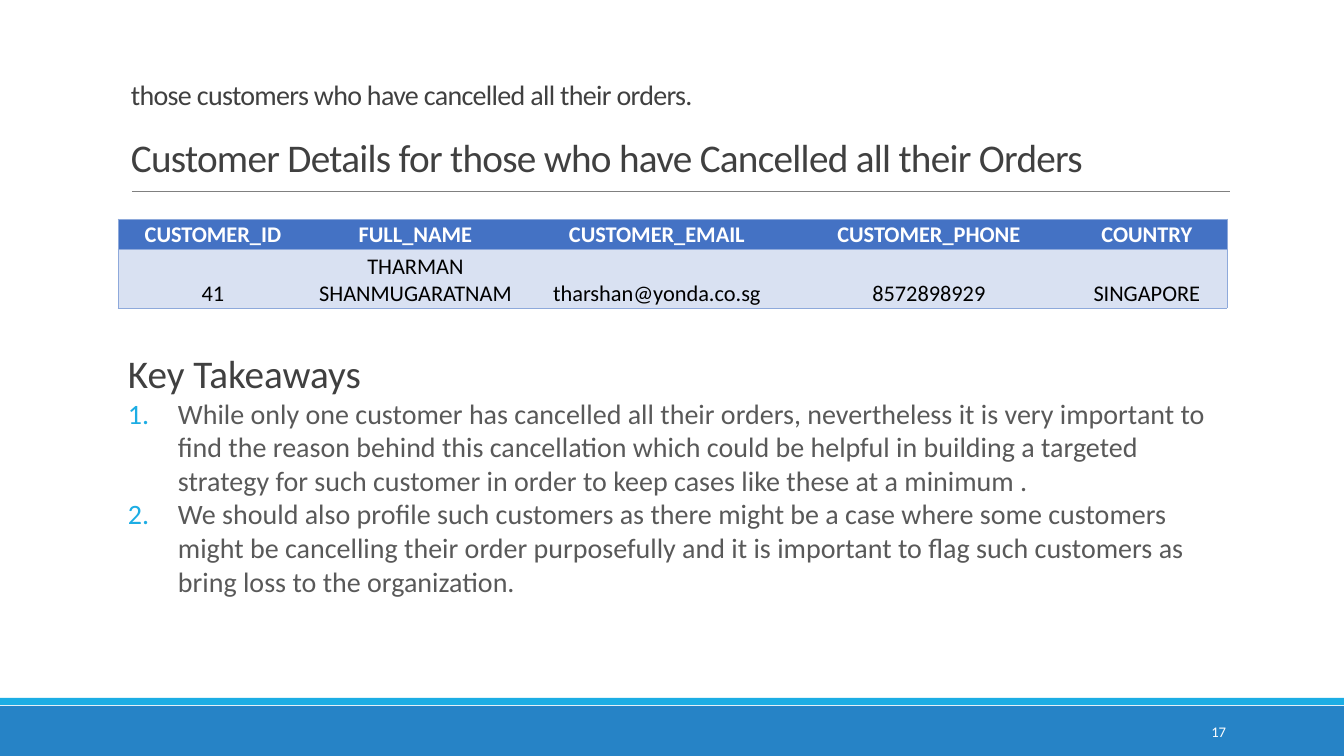
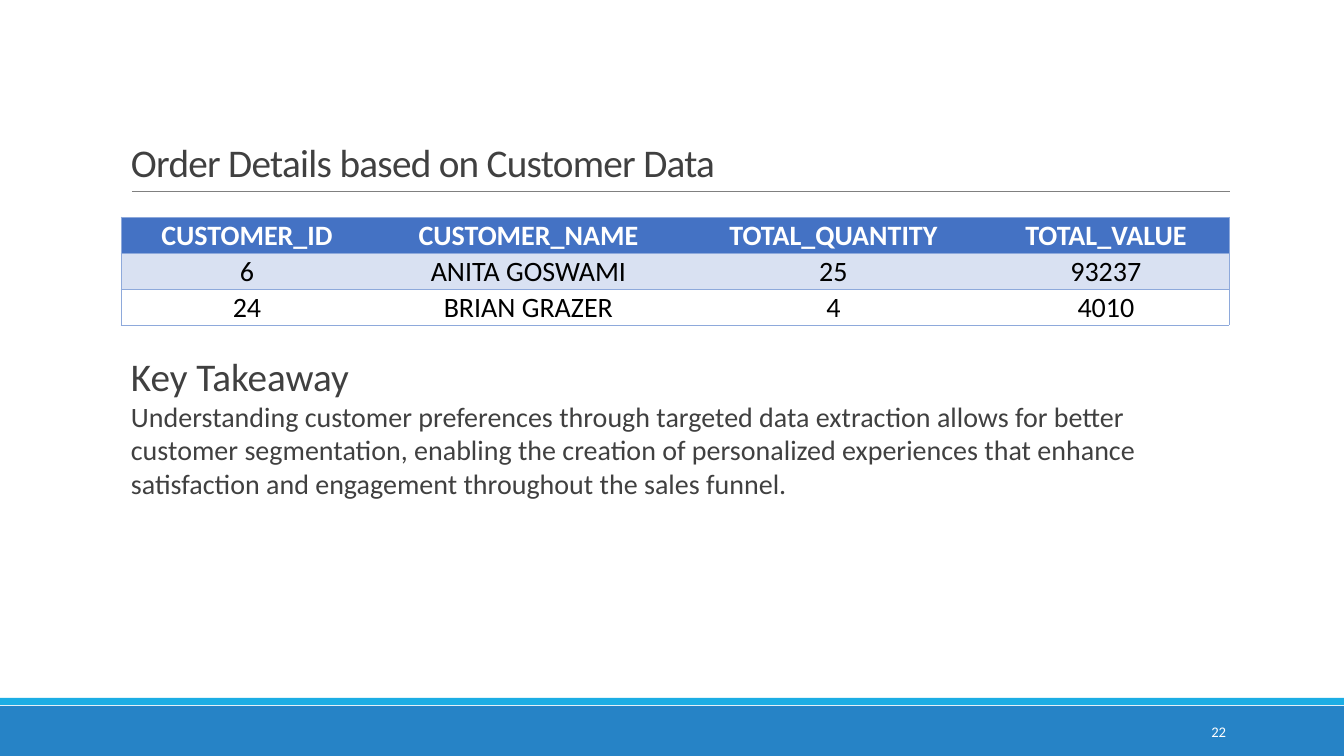
from dataclasses import dataclass

from lxml.etree import SubElement as Sub
from pptx import Presentation
from pptx.dml.color import RGBColor as Rgb
from pptx.enum.shapes import MSO_CONNECTOR as Conn, MSO_SHAPE as Shape
from pptx.enum.text import MSO_ANCHOR as Anchor, PP_ALIGN as Align
from pptx.oxml.ns import qn
from pptx.util import Emu, Pt


# Shared look
@dataclass(frozen=True)
class Theme:
    font: str = "Calibri"
    band: str = "2683C6"
    strip: str = "1CADE4"
    rule: str = "808080"
    ink: str = "404040"
    soft: str = "595959"
    white: str = "FFFFFF"
    black: str = "000000"
    head: str = "4472C4"
    tint: str = "D9E1F2"
    edge: str = "8EA9DB"
    big: float = 28
    body: float = 20
    small: float = 16
    foot: float = 10.5


T = Theme()
WIDE, HIGH = 1344, 756
UNIT = 12192000 / WIDE
PLAIN = "{2D5ABB26-0587-4C30-8999-92F81FD0307C}"


def px(n):
    return Emu(round(n * UNIT))


def box(*nums):
    return [px(n) for n in nums]


# Text
def add_run(para, text, size, color, bold=False):
    run = para.add_run()
    run.text = text
    font = run.font
    font.name, font.size, font.bold = T.font, Pt(size), bold
    font.color.rgb = Rgb.from_string(color)
    return run


def add_frame(slide, area, anchor=Anchor.TOP):
    frame = slide.shapes.add_textbox(*box(*area)).text_frame
    frame.word_wrap = True
    frame.vertical_anchor = anchor
    return frame


def next_para(frame, first):
    return frame.paragraphs[0] if first else frame.add_paragraph()


def number(para):
    props = para._p.get_or_add_pPr()
    props.set("marL", str(px(50)))
    props.set("indent", str(-px(50)))
    Sub(Sub(props, qn("a:buClr")), qn("a:srgbClr"), val=T.strip)
    Sub(props, qn("a:buAutoNum"), type="arabicPeriod")


# Parts of every slide
def add_band(slide, top, high, color):
    band = slide.shapes.add_shape(Shape.RECTANGLE, *box(0, top, WIDE, high))
    band.shadow.inherit = False
    band.fill.solid()
    band.fill.fore_color.rgb = Rgb.from_string(color)
    band.line.fill.background()


def add_rule(slide):
    rule = slide.shapes.add_connector(Conn.STRAIGHT, *box(132, 191, 1230, 191))
    rule.line.color.rgb = Rgb.from_string(T.rule)
    rule.line.width = Pt(0.5)
    Sub(rule._element.spPr, qn("a:effectLst"))


def add_title(slide, high, lines):
    frame = add_frame(slide, (121, 31, 1109, high), Anchor.BOTTOM)
    for i, (text, size) in enumerate(lines):
        para = next_para(frame, i == 0)
        para.line_spacing = 0.85
        if i:
            para.space_before = Pt(21)
        run = add_run(para, text, size, T.ink)
        run.font._element.set("spc", "-50")


def add_page(deck, num, high, lines):
    slide = deck.slides.add_slide(deck.slide_layouts[6])
    add_band(slide, 706, 50, T.band)
    add_band(slide, 698, 7, T.strip)
    add_rule(slide)
    add_title(slide, high, lines)
    para = add_frame(slide, (1092, 712, 144, 40), Anchor.MIDDLE).paragraphs[0]
    para.alignment = Align.RIGHT
    add_run(para, num, T.foot, T.white)
    return slide


# Table
def add_edge(cell, side):
    # Borders come before the fill in the cell properties
    line = Sub(cell._tc.get_or_add_tcPr(), qn("a:ln" + side), w=str(Pt(0.5)))
    Sub(Sub(line, qn("a:solidFill")), qn("a:srgbClr"), val=T.edge)


def style_cell(cell, text, size, row, sides):
    cell.margin_left = cell.margin_right = cell.margin_top = px(1)
    cell.margin_bottom = 0
    cell.vertical_anchor = Anchor.BOTTOM
    for side in sides:
        add_edge(cell, side)
    if row < 2:
        cell.fill.solid()
        cell.fill.fore_color.rgb = Rgb.from_string(T.tint if row else T.head)
    else:
        cell.fill.background()
    para = cell.text_frame.paragraphs[0]
    para.alignment = Align.CENTER
    add_run(para, text, size, T.black if row else T.white, row == 0)


def add_grid(slide, left, top, cols, rows, size, data):
    area = box(left, top, sum(cols), sum(rows))
    grid = slide.shapes.add_table(len(rows), len(cols), *area).table
    grid._tbl.tblPr.find(qn("a:tableStyleId")).text = PLAIN
    grid.horz_banding = False
    for col, wide in zip(grid.columns, cols):
        col.width = px(wide)
    for row, high in zip(grid.rows, rows):
        row.height = px(high)
    last = len(cols) - 1
    for r, line in enumerate(data):
        for c, text in enumerate(line):
            sides = ["L"] * (c == 0) + ["R"] * (c == last) + ["T", "B"]
            style_cell(grid.cell(r, c), text, size, r, sides)


# Takeaways
def add_notes(slide, area, head, items, color, listed=False):
    frame = add_frame(slide, area)
    add_run(frame.paragraphs[0], head, T.big, T.ink)
    for text in items:
        para = next_para(frame, False)
        if listed:
            number(para)
        add_run(para, text, T.body, color)


def main():
    deck = Presentation()
    deck.slide_width, deck.slide_height = box(WIDE, HIGH)

    # Cancelled orders
    slide = add_page(deck, "17", 155, [
        ("those customers who have cancelled all their orders.", T.body),
        ("Customer Details for those who have Cancelled all their Orders",
         T.big),
    ])
    add_grid(slide, 118, 219, [190, 215, 268, 276, 160], [30, 59], T.small, [
        ["CUSTOMER_ID", "FULL_NAME", "CUSTOMER_EMAIL", "CUSTOMER_PHONE",
         "COUNTRY"],
        ["41", "THARMAN SHANMUGARATNAM", "tharshan@yonda.co.sg", "8572898929",
         "SINGAPORE"],
    ])
    add_notes(slide, (118, 344, 1109, 261), "Key Takeaways", [
        "While only one customer has cancelled all their orders, nevertheless "
        "it is very important to find the reason behind this cancellation "
        "which could be helpful in building a targeted strategy for such "
        "customer in order to keep cases like these at a minimum .",
        "We should also profile such customers as there might be a case where "
        "some customers might be cancelling their order purposefully and it "
        "is important to flag such customers as bring loss to the "
        "organization.",
    ], T.soft, listed=True)

    # Order details
    slide = add_page(deck, "22", 160, [
        ("Order Details based on Customer Data", T.big),
    ])
    add_grid(slide, 121, 217, [252, 311, 299, 246], [36] * 3, T.body, [
        ["CUSTOMER_ID", "CUSTOMER_NAME", "TOTAL_QUANTITY", "TOTAL_VALUE"],
        ["6", "ANITA GOSWAMI", "25", "93237"],
        ["24", "BRIAN GRAZER", "4", "4010"],
    ])
    add_notes(slide, (121, 347, 1109, 159), "Key Takeaway", [
        "Understanding customer preferences through targeted data extraction "
        "allows for better customer segmentation, enabling the creation of "
        "personalized experiences that enhance satisfaction and engagement "
        "throughout the sales funnel.",
    ], T.ink)

    deck.save("out.pptx")


if __name__ == "__main__":
    main()
